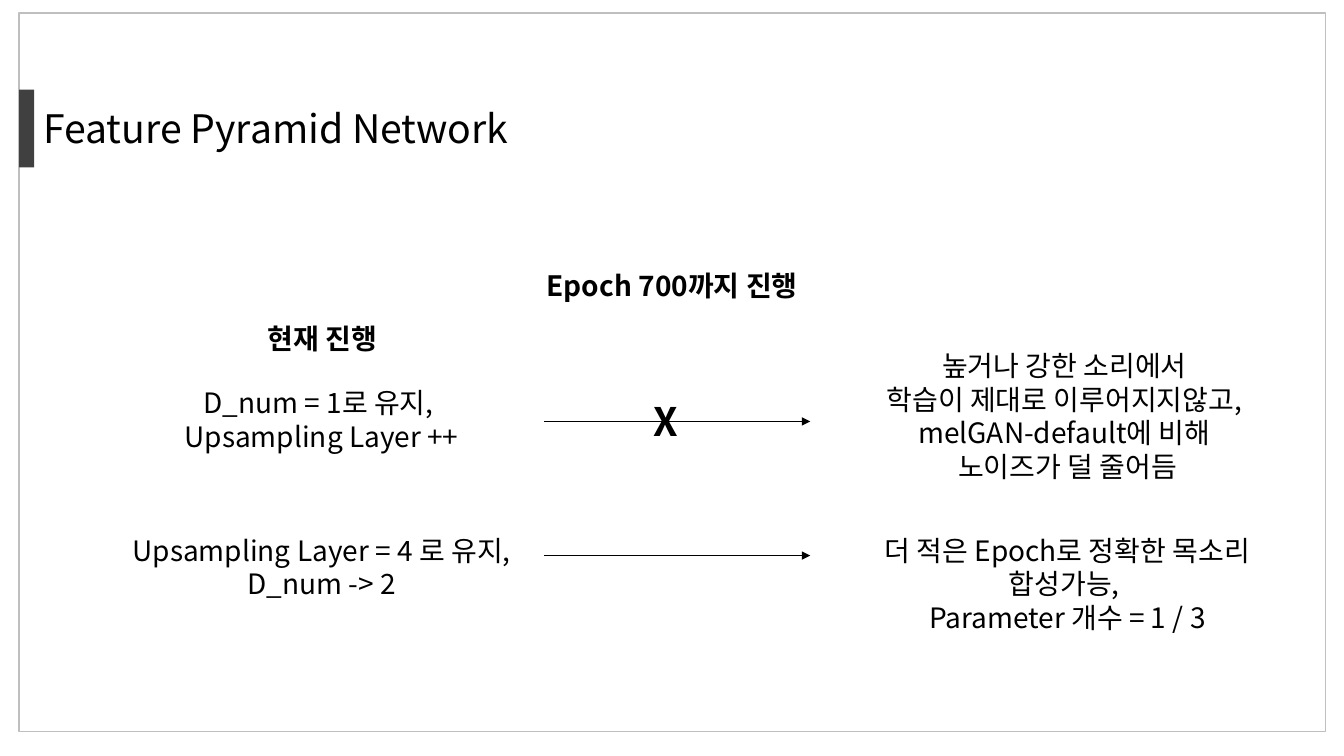
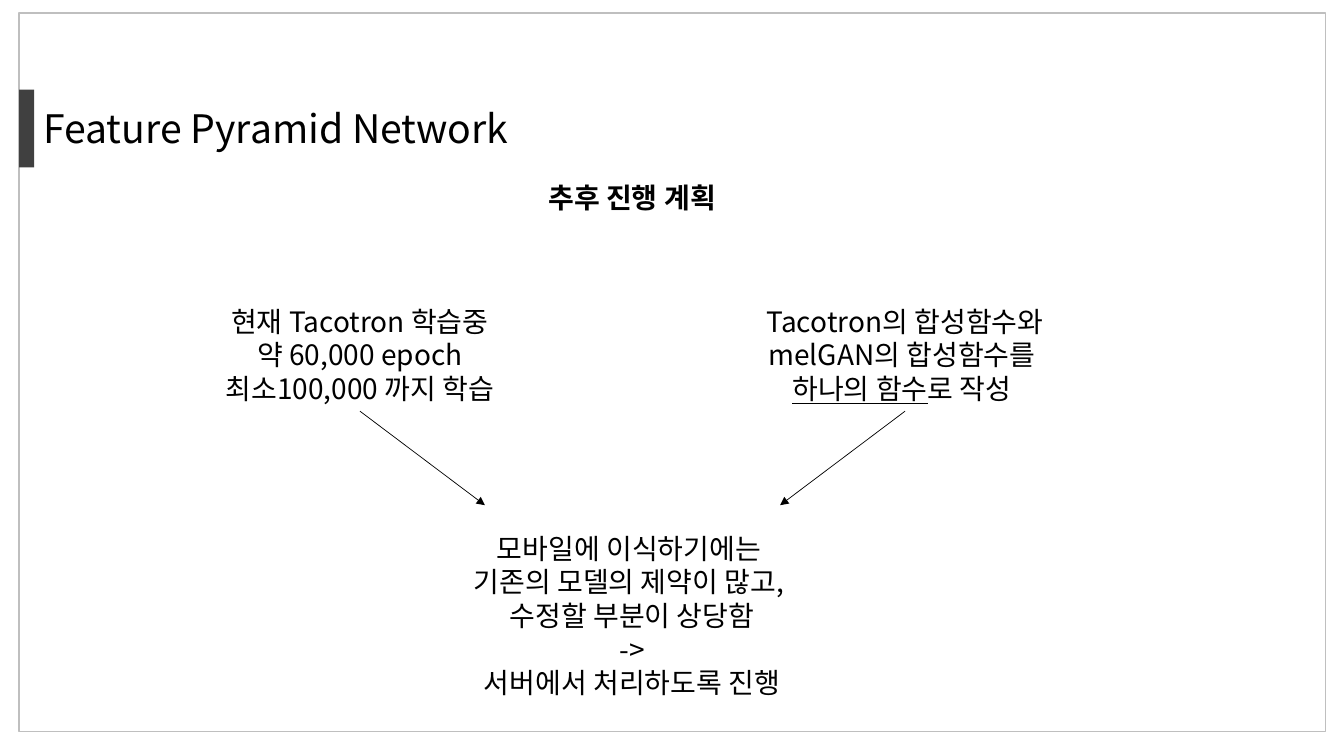
from lxml import etree
from pptx import Presentation
from pptx.dml.color import RGBColor
from pptx.enum.shapes import MSO_CONNECTOR, MSO_SHAPE
from pptx.enum.text import MSO_ANCHOR, MSO_AUTO_SIZE, PP_ALIGN
from pptx.oxml.ns import qn
from pptx.util import Cm, Pt

RECT, STRAIGHT = MSO_SHAPE.RECTANGLE, MSO_CONNECTOR.STRAIGHT
LEFT, CENTER = PP_ALIGN.LEFT, PP_ALIGN.CENTER
TOP, GROW = MSO_ANCHOR.TOP, MSO_AUTO_SIZE.SHAPE_TO_FIT_TEXT
BLACK = RGBColor(0x00, 0x00, 0x00)
GREY = RGBColor(0xBF, 0xBF, 0xBF)
DARK = RGBColor(0x40, 0x40, 0x40)
FONT = "Noto Sans CJK KR"
BODY, LARGE = 20, 28
LINE_H, INSETS = 0.85, 0.25

TITLE = "Feature Pyramid Network"
TITLE_BOX = (0.84, 2.51, 20.96, 1.45)
FRAME = (0.48, 0.33, 32.92, 18.11)
BAR = (0.48, 2.26, 0.38, 1.96)

WIDE, MID = 11.79, 10.26
CAUSE_X, ARROW_X, ARROW_END = 2.21, 13.72, 20.42
PLAN_X, CURRENT_X, MERGE_X = 10.8, 3.94, 17.68
ROW_Y, STEP_Y = 13.31, 7.54

# Each text: left, top, width, line count, size, bold, paragraphs of (text, underlined) runs
SLIDES = [
    {
        "arrows": [
            (ARROW_X, 10.62, ARROW_END, 10.62),
            (ARROW_X, 14.0, ARROW_END, 14.0),
        ],
        "texts": [
            (5.44, 7.98, 5.36, 1, BODY, True, [[("현재 진행", False)]]),
            (CAUSE_X, 9.6, WIDE, 2, BODY, False,
             [[("D_num = 1로 유지, \nUpsampling Layer ++", False)]]),
            (CAUSE_X, ROW_Y, WIDE, 2, BODY, False,
             [[("Upsampling Layer = 4 로 유지,\nD_num -> 2", False)]]),
            (11.81, 6.63, MID, 1, BODY, True, [[("Epoch 700까지 진행", False)]]),
            (16.23, 9.88, 0.99, 1, LARGE, True, [[("X", False)]]),
            (21.01, 8.66, WIDE, 4, BODY, False,
             [[("높거나 강한 소리에서 \n학습이 제대로 이루어지지않고, \n"
                "melGAN-default에 비해 \n노이즈가 덜 줄어듬", False)]]),
            (20.7, ROW_Y, 12.4, 2, BODY, False,
             [[("더 적은 Epoch로 정확한 목소리 합성가능, \n"
                "Parameter 개수 = 1 / 3", False)]]),
        ],
    },
    {
        "arrows": [
            (9.07, 10.36, 12.22, 12.73),
            (22.81, 10.36, 19.66, 12.73),
        ],
        "texts": [
            (PLAN_X, 4.42, MID, 1, BODY, True, [[("추후 진행 계획", False)]]),
            (CURRENT_X, STEP_Y, MID, 3, BODY, False,
             [[("현재 Tacotron 학습중", False)],
              [("약 60,000 epoch", False)],
              [("최소100,000 까지 학습", False)]]),
            (MERGE_X, STEP_Y, MID, 3, BODY, False,
             [[("Tacotron의 합성함수와 melGAN의 합성함수를 \n", False),
               ("하나의 함수", True), ("로 작성 ", False)]]),
            (PLAN_X, 13.26, MID, 5, BODY, False,
             [[("모바일에 이식하기에는 \n기존의 모델의 제약이 많고, \n"
                "수정할 부분이 상당함", False)],
              [("->", False)],
              [("서버에서 처리하도록 진행", False)]]),
        ],
    },
]


def cm(values):
    return [Cm(v) for v in values]


def add_run(p, text, size, bold, underline):
    r = p.add_run()
    r.text = text
    r.font.size, r.font.bold, r.font.underline = Pt(size), bold, underline
    r.font.color.rgb = BLACK
    r.font.name = FONT
    latin = r.font._element.find(qn("a:latin"))
    ea = etree.Element(qn("a:ea"), typeface=FONT)
    latin.addnext(ea)


def write(tf, paragraphs, size, bold, align):
    tf.word_wrap, tf.auto_size, tf.vertical_anchor = True, GROW, TOP
    for i, runs in enumerate(paragraphs):
        p = tf.add_paragraph() if i else tf.paragraphs[0]
        p.alignment = align
        for text, underline in runs:
            for j, line in enumerate(text.split("\n")):
                if j:
                    p.add_line_break()
                if line:
                    add_run(p, line, size, bold, underline)


def add_rect(s, box, fill=None, line=None):
    sp = s.shapes.add_shape(RECT, *cm(box))
    sp.shadow.inherit = False
    if fill is None:
        sp.fill.background()
    else:
        sp.fill.solid()
        sp.fill.fore_color.rgb = fill
    if line is None:
        sp.line.fill.background()
    else:
        sp.line.color.rgb = line
        sp.line.width = Pt(1)


def add_arrow(s, ends):
    c = s.shapes.add_connector(STRAIGHT, *cm(ends))
    c.line.color.rgb = BLACK
    c.line.width = Pt(0.5)
    etree.SubElement(c.line._get_or_add_ln(), qn("a:tailEnd"), type="triangle")
    etree.SubElement(c._element.spPr, qn("a:effectLst"))


def add_base(prs):
    s = prs.slides.add_slide(prs.slide_layouts[5])
    title = s.shapes.title
    title.left, title.top, title.width, title.height = cm(TITLE_BOX)
    write(title.text_frame, [[(TITLE, False)]], LARGE, False, LEFT)
    add_rect(s, FRAME, line=GREY)
    add_rect(s, BAR, fill=DARK)
    return s


prs = Presentation()
prs.slide_width, prs.slide_height = Cm(33.87), Cm(19.05)
for content in SLIDES:
    s = add_base(prs)
    for ends in content["arrows"]:
        add_arrow(s, ends)
    for x, y, w, lines, size, bold, paragraphs in content["texts"]:
        h = lines * LINE_H * size / BODY + INSETS
        tb = s.shapes.add_textbox(*cm((x, y, w, h)))
        write(tb.text_frame, paragraphs, size, bold, CENTER)
prs.save("out.pptx")
